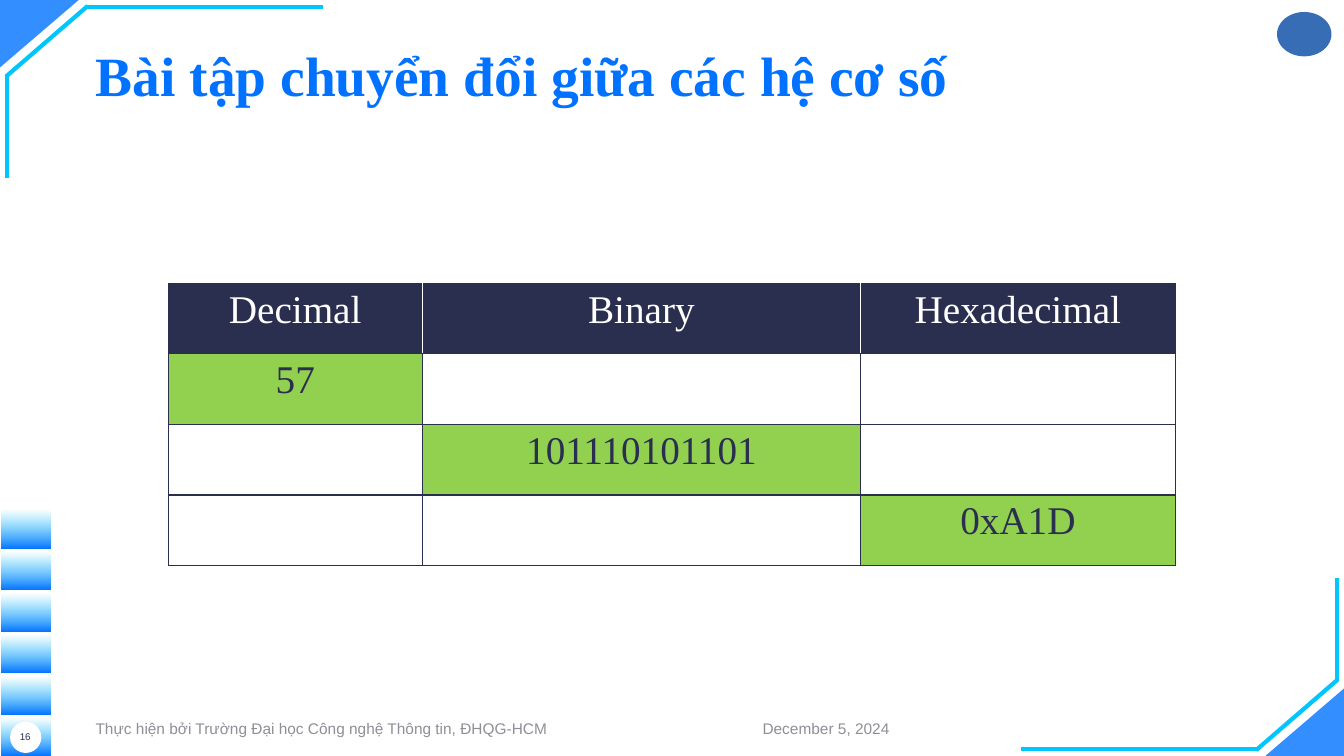
import pptx
import pptx.util
import pptx.dml.color
import pptx.enum.shapes
import pptx.enum.text
import pptx.oxml.ns
from lxml import etree

Pt = pptx.util.Pt
qn = pptx.oxml.ns.qn
SHAPE = pptx.enum.shapes.MSO_SHAPE
ALIGN = pptx.enum.text.PP_ALIGN
MIDDLE = pptx.enum.text.MSO_ANCHOR.MIDDLE

SLIDE_W, SLIDE_H = 960, 540
COLORS = {
    "blue": "0072FF",
    "cyan": "00C6FF",
    "emblem": "376DB5",
    "navy": "2A2F4F",
    "green": "92D050",
    "gray": "8E8F97",
    "white": "FFFFFF",
}
CORNER_LINES = [
    (230.4, 5, 61.2, 5),
    (62.6, 4.3, 4.3, 54.7),
    (5, 127.4, 5, 53.3),
]
COLUMN_WIDTHS = [181.4, 313.2, 224.6]
ROW_HEIGHT = 50.4
EXERCISE = [
    ["Decimal", "Binary", "Hexadecimal"],
    ["57", "", ""],
    ["", "101110101101", ""],
    ["", "", "0xA1D"],
]


def rgb(name):
    return pptx.dml.color.RGBColor.from_string(COLORS[name])


def set_opacity(shape, color, percent):
    for clr in shape._element.spPr.iter(qn("a:srgbClr")):
        if clr.get("val") == COLORS[color]:
            etree.SubElement(clr, qn("a:alpha"), val=str(percent * 1000))


def set_gradient(fill, angle):
    """Blue to cyan; the angle runs counter-clockwise."""
    fill.gradient()
    fill.gradient_angle = angle
    for stop, color in zip(fill.gradient_stops, ("blue", "cyan")):
        stop.color.rgb = rgb(color)


def add_plain_shape(slide, kind, left, top, width, height, color=None):
    shape = slide.shapes.add_shape(kind, Pt(left), Pt(top), Pt(width), Pt(height))
    shape.shadow.inherit = False
    shape.line.fill.background()
    if color:
        shape.fill.solid()
        shape.fill.fore_color.rgb = rgb(color)
    return shape


def add_corner_line(slide, x1, y1, x2, y2):
    line = slide.shapes.add_connector(
        pptx.enum.shapes.MSO_CONNECTOR.STRAIGHT, Pt(x1), Pt(y1), Pt(x2), Pt(y2))
    line.line.color.rgb = rgb("cyan")
    line.line.width = Pt(3)
    etree.SubElement(line._element.spPr, qn("a:effectLst"))


def add_corners(slide):
    """Top-left ornament and its half-turn in the bottom-right corner."""
    width, height = 56.2, 48.2
    for left, top, turn in ((0, 0, 180), (SLIDE_W - width, SLIDE_H - height, 0)):
        triangle = add_plain_shape(
            slide, SHAPE.ISOSCELES_TRIANGLE, left, top, width, height, "blue")
        triangle.adjustments[0] = 1
        triangle.rotation = turn
        set_opacity(triangle, "blue", 80)
    for x1, y1, x2, y2 in CORNER_LINES:
        add_corner_line(slide, x1, y1, x2, y2)
        add_corner_line(slide, SLIDE_W - x1, SLIDE_H - y1, SLIDE_W - x2, SLIDE_H - y2)


def add_side_bars(slide):
    for i in range(6):
        bar = add_plain_shape(slide, SHAPE.RECTANGLE, 1.2, 364.3 + i * 29.66, 34.6, 27.4)
        set_gradient(bar.fill, 90)
        set_opacity(bar, "cyan", 0)


def add_run(paragraph, text, size, font, color=None):
    run = paragraph.add_run()
    run.text = text
    run.font.size = Pt(size)
    run.font.name = font
    if color:
        run.font.color.rgb = rgb(color)
    return run


def add_label(slide, left, top, width, height, text, size, color, align):
    box = slide.shapes.add_textbox(Pt(left), Pt(top), Pt(width), Pt(height))
    frame = box.text_frame
    frame.word_wrap = True
    frame.vertical_anchor = MIDDLE
    paragraph = frame.paragraphs[0]
    paragraph.alignment = align
    add_run(paragraph, text, size, "Arial", color)


def set_title(slide, text):
    title = slide.shapes.title
    title.left, title.top, title.width, title.height = Pt(61.2), Pt(17.3), Pt(833), Pt(61.9)
    frame = title.text_frame
    frame.word_wrap = True
    frame.auto_size = pptx.enum.text.MSO_AUTO_SIZE.NONE
    frame.vertical_anchor = MIDDLE
    paragraph = frame.paragraphs[0]
    paragraph.alignment = ALIGN.LEFT
    paragraph.line_spacing = 1.2
    paragraph.space_after = Pt(2)
    run = add_run(paragraph, text, 39.6, "Times New Roman")
    run.font.bold = True
    set_gradient(run.font.fill, 315)


def set_borders(cell, sides):
    """sides gives the colours of the left, right, top and bottom borders."""
    properties = cell._tc.get_or_add_tcPr()
    for tag, color in zip(("a:lnL", "a:lnR", "a:lnT", "a:lnB"), sides):
        line = etree.SubElement(properties, qn(tag), w=str(Pt(1)))
        solid = etree.SubElement(line, qn("a:solidFill"))
        etree.SubElement(solid, qn("a:srgbClr"), val=COLORS[color])


def add_exercise_table(slide):
    rows, columns = len(EXERCISE), len(COLUMN_WIDTHS)
    table = slide.shapes.add_table(
        rows, columns, Pt(120.2), Pt(202.3),
        Pt(sum(COLUMN_WIDTHS)), Pt(rows * ROW_HEIGHT)).table
    table.first_row = table.horz_banding = False
    for column, width in zip(table.columns, COLUMN_WIDTHS):
        column.width = Pt(width)
    for r, values in enumerate(EXERCISE):
        table.rows[r].height = Pt(ROW_HEIGHT)
        header = r == 0
        for c, value in enumerate(values):
            cell = table.cell(r, c)
            left = "white" if header and c > 0 else "navy"
            right = "white" if header and c < columns - 1 else "navy"
            set_borders(cell, (left, right, "navy", "navy"))
            if not value:
                cell.fill.background()
                continue
            cell.fill.solid()
            cell.fill.fore_color.rgb = rgb("navy" if header else "green")
            paragraph = cell.text_frame.paragraphs[0]
            paragraph.alignment = ALIGN.CENTER
            add_run(paragraph, value, 28, "Times New Roman", "white" if header else "navy")


def main():
    deck = pptx.Presentation()
    deck.slide_width, deck.slide_height = Pt(SLIDE_W), Pt(SLIDE_H)
    slide = deck.slides.add_slide(deck.slide_layouts[5])
    add_corners(slide)
    add_side_bars(slide)
    add_plain_shape(slide, SHAPE.OVAL, 912.2, 8.6, 38.9, 31.7, "emblem")
    add_plain_shape(slide, SHAPE.OVAL, 7.2, 515.5, 22.3, 22.3, "white")
    set_title(slide, "Bài tập chuyển đổi giữa các hệ cơ số")
    add_label(slide, 61.2, 509.8, 339.8, 20.9,
              "Thực hiện bởi Trường Đại học Công nghệ Thông tin, ĐHQG-HCM",
              11, "gray", ALIGN.LEFT)
    add_label(slide, 507.6, 509.8, 164.9, 20.9, "December 5, 2024", 11, "gray", ALIGN.CENTER)
    add_label(slide, 4.3, 512.6, 27.4, 27.4, "16", 7, "navy", ALIGN.CENTER)
    add_exercise_table(slide)
    deck.save("out.pptx")


if __name__ == "__main__":
    main()
